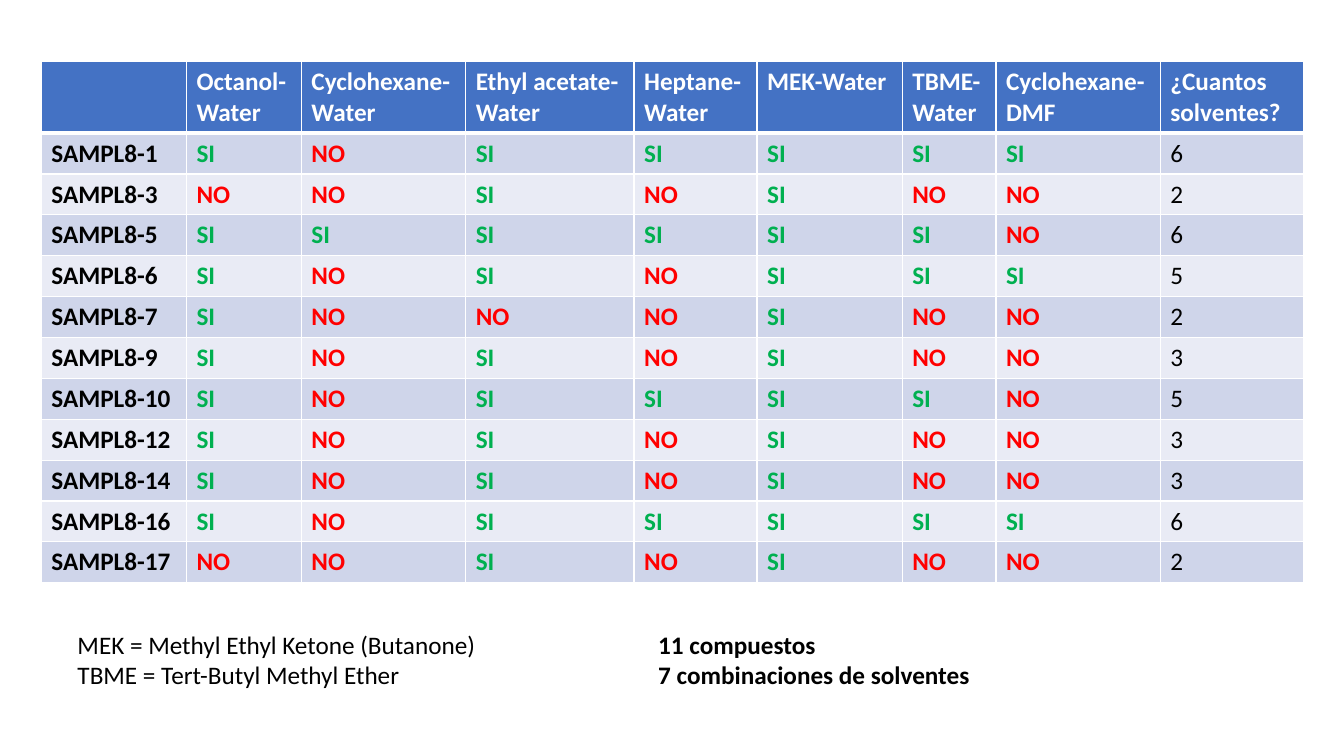
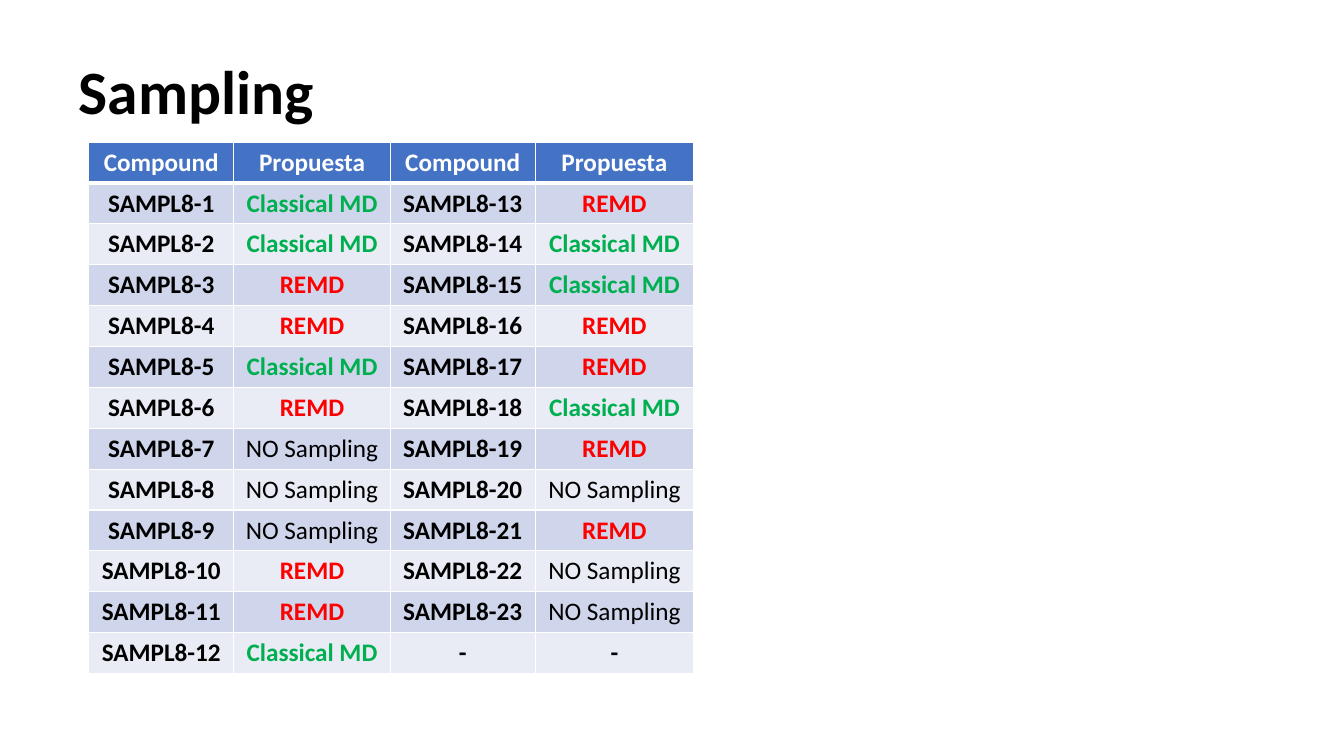
from lxml.etree import SubElement
from pptx import Presentation
from pptx.dml.color import RGBColor
from pptx.enum.text import MSO_ANCHOR, MSO_AUTO_SIZE, PP_ALIGN
from pptx.oxml.ns import qn
from pptx.util import Pt

SCALE = 9144
SLIDE_WIDTH, SLIDE_HEIGHT = 1333, 750
FONT = "Calibri"
COLORS = {
    "header": "4472C4",
    "odd_row": "CFD5EA",
    "even_row": "E9EBF5",
    "white": "FFFFFF",
    "black": "000000",
    "green": "00B050",
    "red": "FF0000",
}
ANSWER_COLORS = {"SI": "green", "NO": "red", "Classical MD": "green", "REMD": "red"}

SOLVENT_HEADER = [
    "", "Octanol-\nWater", "Cyclohexane-\nWater", "Ethyl acetate-\nWater",
    "Heptane-\nWater", "MEK-Water", "TBME-\nWater", "Cyclohexane-\nDMF",
    "¿Cuantos solventes?",
]
SOLVENT_WIDTHS = [144, 114, 163, 167, 122, 144, 93, 163, 142]
SOLVENT_ANSWERS = {
    1: "SI NO SI SI SI SI SI",
    3: "NO NO SI NO SI NO NO",
    5: "SI SI SI SI SI SI NO",
    6: "SI NO SI NO SI SI SI",
    7: "SI NO NO NO SI NO NO",
    9: "SI NO SI NO SI NO NO",
    10: "SI NO SI SI SI SI NO",
    12: "SI NO SI NO SI NO NO",
    14: "SI NO SI NO SI NO NO",
    16: "SI NO SI SI SI SI SI",
    17: "NO NO SI NO SI NO NO",
}

SAMPLING_WIDTHS = [144, 155, 144, 157]
PROPOSALS = {"C": "Classical MD", "R": "REMD", "N": "NO Sampling"}
PROPOSAL_CODES = "CCRRCRNNNRRC" + "RCCRRCRNRNN"
SAMPLING_ROWS = 12


def px(length):
    return round(length * SCALE)


def color(name):
    return RGBColor.from_string(COLORS[name])


def format_paragraphs(text_frame, size, color_name, bold, alignment=PP_ALIGN.LEFT):
    for paragraph in text_frame.paragraphs:
        paragraph.alignment = alignment
        for run in paragraph.runs:
            run.font.name = FONT
            run.font.size = Pt(size)
            run.font.bold = bold
            run.font.color.rgb = color(color_name)


def set_borders(cell, widths):
    properties = cell._tc.get_or_add_tcPr()
    for side, width in widths.items():
        line = SubElement(properties, qn(f"a:ln{side}"), w=str(Pt(width)))
        fill = SubElement(line, qn("a:solidFill"))
        SubElement(fill, qn("a:srgbClr"), val=COLORS["white"])


def fill_cell(cell, text, row_index, alignment):
    is_header = row_index == 0
    set_borders(cell, {
        "L": 1,
        "R": 1,
        "T": 3 if row_index == 1 else 1,
        "B": 3 if is_header else 1,
    })
    if is_header:
        background, text_color = "header", "white"
    else:
        background = "odd_row" if row_index % 2 else "even_row"
        text_color = ANSWER_COLORS.get(text, "black")
    cell.fill.solid()
    cell.fill.fore_color.rgb = color(background)
    cell.text_frame.text = text
    bold = not text.isdigit() and text != PROPOSALS["N"]
    format_paragraphs(cell.text_frame, 18, text_color, bold, alignment)


def add_answer_table(slide, box, rows, widths, header_height, alignment):
    left, top, width, height = map(px, box)
    table = slide.shapes.add_table(
        len(rows), len(widths), left, top, width, height
    ).table
    for column, column_width in zip(table.columns, widths):
        column.width = px(column_width)
    body_height = (height - px(header_height)) // (len(rows) - 1)
    for row_index, values in enumerate(rows):
        table.rows[row_index].height = body_height if row_index else px(header_height)
        for column_index, text in enumerate(values):
            fill_cell(table.cell(row_index, column_index), text, row_index, alignment)


def add_note(slide, box, text, bold=False):
    text_frame = slide.shapes.add_textbox(*map(px, box)).text_frame
    text_frame.word_wrap = False
    text_frame.auto_size = MSO_AUTO_SIZE.SHAPE_TO_FIT_TEXT
    text_frame.text = text
    format_paragraphs(text_frame, 18, "black", bold)


def set_title(slide, box, text):
    title = slide.shapes.title
    title.left, title.top, title.width, title.height = map(px, box)
    text_frame = title.text_frame
    text_frame.auto_size = MSO_AUTO_SIZE.NONE
    text_frame.vertical_anchor = MSO_ANCHOR.MIDDLE
    text_frame.text = text
    text_frame.paragraphs[0].line_spacing = 0.9
    format_paragraphs(text_frame, 44, "black", True)


def add_solvent_slide(presentation):
    slide = presentation.slides.add_slide(presentation.slide_layouts[6])
    rows = [SOLVENT_HEADER]
    for number, text in SOLVENT_ANSWERS.items():
        answers = text.split()
        rows.append([f"SAMPL8-{number}", *answers, str(answers.count("SI"))])
    add_answer_table(
        slide, (41, 61, 1251, 516), rows, SOLVENT_WIDTHS, 70, PP_ALIGN.LEFT
    )
    add_note(
        slide, (67, 619, 419, 71),
        "MEK = Methyl Ethyl Ketone (Butanone)\nTBME = Tert-Butyl Methyl Ether",
    )
    add_note(
        slide, (643, 619, 331, 71),
        "11 compuestos\n7 combinaciones de solventes", bold=True,
    )


def add_sampling_slide(presentation):
    slide = presentation.slides.add_slide(presentation.slide_layouts[5])
    set_title(slide, (68, 21, 1150, 145), "Sampling")
    entries = [
        (f"SAMPL8-{number}", PROPOSALS[code])
        for number, code in enumerate(PROPOSAL_CODES, start=1)
    ]
    entries.append(("-", "-"))
    rows = [("Compound", "Propuesta") * 2]
    for first, second in zip(entries[:SAMPLING_ROWS], entries[SAMPLING_ROWS:]):
        rows.append(first + second)
    add_answer_table(
        slide, (88, 141, 600, 527), rows, SAMPLING_WIDTHS, 40.5, PP_ALIGN.CENTER
    )


def main():
    presentation = Presentation()
    presentation.slide_width = px(SLIDE_WIDTH)
    presentation.slide_height = px(SLIDE_HEIGHT)
    add_solvent_slide(presentation)
    add_sampling_slide(presentation)
    presentation.save("out.pptx")


if __name__ == "__main__":
    main()
